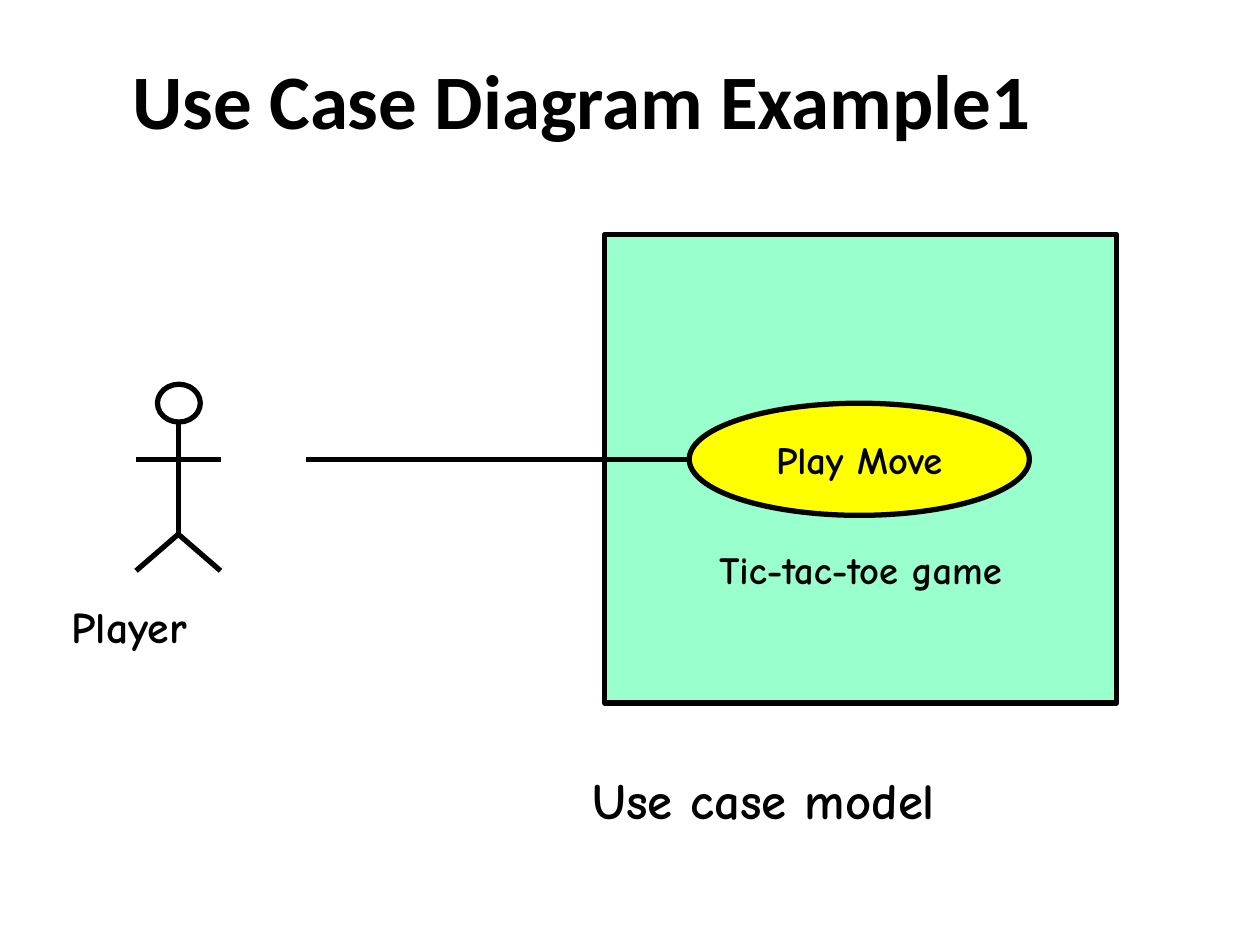
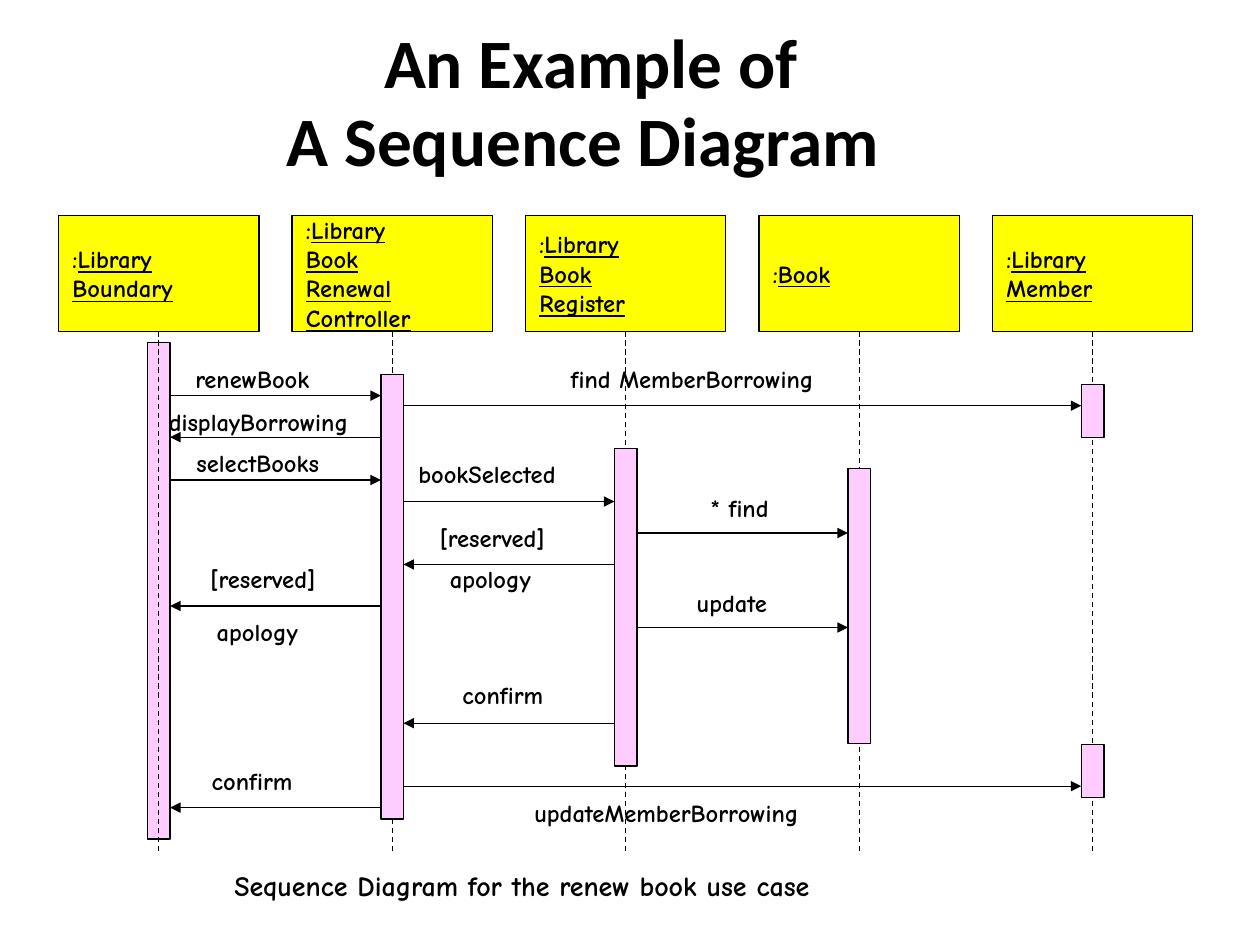
"""Build a use case diagram slide and a sequence diagram slide."""
from dataclasses import dataclass

from lxml import etree
from pptx import Presentation
from pptx import util as u
from pptx.dml import color
from pptx.enum import dml, shapes, text
from pptx.oxml import ns


@dataclass(frozen=True)
class Theme:
    ink: str = "000000"
    system: str = "99FFCC"
    highlight: str = "FFFF00"
    activation: str = "FFCCFF"
    title_font: str = "Calibri"
    body_font: str = "Comic Neue"
    title: float = 44
    long_title: float = 39.6
    model: float = 29
    actor: float = 25
    use_case: float = 22
    caption: float = 16
    label: float = 14
    thick: float = 3
    thin: float = 0.75


class Deck:
    def __init__(self, theme):
        self.theme = theme
        self.presentation = Presentation()
        self.presentation.slide_width = u.Inches(10)
        self.presentation.slide_height = u.Inches(7.5)
        self.slide = None

    def style_font(self, font, size, name=None):
        font.size = u.Pt(size)
        font.name = name or self.theme.body_font
        font.bold = True
        font.color.rgb = color.RGBColor.from_string(self.theme.ink)

    def style_line(self, line, width):
        line.color.rgb = color.RGBColor.from_string(self.theme.ink)
        line.width = u.Pt(width)

    def set_margins(self, frame, horizontal, vertical):
        frame.margin_left = frame.margin_right = u.Inches(horizontal)
        frame.margin_top = frame.margin_bottom = u.Inches(vertical)

    def add_slide(self, title, size):
        self.slide = self.presentation.slides.add_slide(self.presentation.slide_layouts[5])
        shape = self.slide.shapes.title
        shape.left, shape.top = u.Inches(0.44), u.Inches(0.15)
        shape.width, shape.height = u.Inches(8.5), u.Inches(1.35)
        frame = shape.text_frame
        frame.auto_size = text.MSO_AUTO_SIZE.NONE
        frame.vertical_anchor = text.MSO_ANCHOR.MIDDLE
        self.set_margins(frame, 0.02, 0.05)
        paragraph = frame.paragraphs[0]
        paragraph.text = title
        paragraph.alignment = text.PP_ALIGN.CENTER
        paragraph.line_spacing = 0.94
        paragraph.space_before = u.Pt(12.3)
        self.style_font(paragraph.font, size, self.theme.title_font)

    def add_label(self, words, left, top, width, height, size, margins=(0, 0)):
        shape = self.slide.shapes.add_textbox(*map(u.Inches, (left, top, width, height)))
        frame = shape.text_frame
        frame.word_wrap = False
        frame.auto_size = text.MSO_AUTO_SIZE.SHAPE_TO_FIT_TEXT
        self.set_margins(frame, *margins)
        frame.text = words
        self.style_font(frame.paragraphs[0].font, size)

    def add_shape(self, kind, left, top, width, height, fill, line_width):
        shape = self.slide.shapes.add_shape(kind, *map(u.Inches, (left, top, width, height)))
        shape.shadow.inherit = False
        if fill:
            shape.fill.solid()
            shape.fill.fore_color.rgb = color.RGBColor.from_string(fill)
        else:
            shape.fill.background()
        self.style_line(shape.line, line_width)
        frame = shape.text_frame
        frame.word_wrap = False
        frame.vertical_anchor = text.MSO_ANCHOR.MIDDLE
        self.set_margins(frame, 0.11, 0.06)
        return shape

    def add_centred_text(self, shape, words, size):
        paragraph = shape.text_frame.paragraphs[0]
        paragraph.text = words
        paragraph.alignment = text.PP_ALIGN.CENTER
        self.style_font(paragraph.font, size)

    def add_object(self, left, top, width, height, name):
        shape = self.add_shape(shapes.MSO_SHAPE.RECTANGLE, left, top, width, height,
                               self.theme.highlight, self.theme.thin)
        frame = shape.text_frame
        for index, word in enumerate(name.split()):
            paragraph = frame.add_paragraph() if index else frame.paragraphs[0]
            paragraph.alignment = text.PP_ALIGN.LEFT
            self.style_font(paragraph.font, self.theme.label)
            if not index:
                paragraph.add_run().text = ":"
            run = paragraph.add_run()
            run.text = word
            run.font.underline = True
        return shape

    def add_line(self, start_x, start_y, end_x, end_y, width, dashed=False, arrow=False):
        connector = self.slide.shapes.add_connector(
            shapes.MSO_CONNECTOR.STRAIGHT, *map(u.Inches, (start_x, start_y, end_x, end_y)))
        self.style_line(connector.line, width)
        if dashed:
            connector.line.dash_style = dml.MSO_LINE.DASH
        if arrow:
            tail = etree.SubElement(connector.line._get_or_add_ln(), ns.qn("a:tailEnd"))
            tail.set("type", "triangle")
        etree.SubElement(connector._element.spPr, ns.qn("a:effectLst"))
        return connector


def build_use_case(deck):
    """Draw the player, the system boundary and its one use case."""
    theme = deck.theme
    margins = (0.11, 0.06)
    deck.add_slide("Use Case Diagram Example1 ", theme.title)
    deck.add_label("Use case model", 4.59, 6.04, 3.27, 0.6, theme.model, margins)
    system = deck.add_shape(shapes.MSO_SHAPE.RECTANGLE, 4.8, 1.86, 4.06, 3.72,
                            theme.system, theme.thick)
    system.text_frame.margin_top = u.Inches(1.66)
    deck.add_centred_text(system, "Tic-tac-toe game", theme.use_case)
    use_case = deck.add_shape(shapes.MSO_SHAPE.OVAL, 5.47, 3.2, 2.7, 0.89,
                              theme.highlight, theme.thick)
    deck.add_centred_text(use_case, "Play Move", theme.use_case)

    body_x, neck_y, arm_y, hip_y, foot_y, reach = 1.415, 3.35, 3.645, 4.24, 4.53, 0.335
    deck.add_shape(shapes.MSO_SHAPE.OVAL, 1.25, 3.05, 0.34, 0.3, None, theme.thick)
    deck.add_line(body_x, neck_y, body_x, hip_y, theme.thick)
    deck.add_line(body_x - reach, arm_y, body_x + reach, arm_y, theme.thick)
    for side in (-reach, reach):
        deck.add_line(body_x, hip_y, body_x + side, foot_y, theme.thick)
    deck.add_line(2.43, arm_y, 5.47, arm_y, theme.thick)
    deck.add_label("Player", 0.46, 4.7, 1.26, 0.53, theme.actor, margins)


def build_sequence(deck):
    """Draw the objects, lifelines, activations and messages of a renewal."""
    theme = deck.theme
    deck.add_slide("An Example of\vA Sequence Diagram ", theme.long_title)
    names = ["Library Boundary", "Library Book Renewal Controller",
             "Library Book Register", "Book", "Library Member"]
    boundary, controller, register, book, member = range(len(names))
    centres = [1.26 + 1.853 * index for index in range(len(names))]
    head_top, head_width, head_height, lifeline_end = 1.71, 1.59, 0.92, 6.75
    bar_width = 0.18

    def add_activation(owner, top, height):
        deck.add_shape(shapes.MSO_SHAPE.RECTANGLE, centres[owner] - bar_width / 2, top,
                       bar_width, height, theme.activation, theme.thin)

    add_activation(boundary, 2.72, 3.94)
    for name, centre in zip(names, centres):
        head = deck.add_object(centre - head_width / 2, head_top, head_width, head_height, name)
        lifeline = deck.add_line(centre, head_top + head_height, centre, lifeline_end,
                                 theme.thin, dashed=True)
        lifeline.begin_connect(head, 2)

    activations = [(controller, 2.97, 3.53), (register, 3.56, 2.52), (book, 3.72, 2.18),
                   (member, 3.05, 0.42), (member, 5.91, 0.42)]
    for activation in activations:
        add_activation(*activation)

    messages = [
        (boundary, controller, 3.14), (controller, boundary, 3.47),
        (boundary, controller, 3.81), (controller, boundary, 4.81),
        (controller, boundary, 6.41), (controller, member, 3.22),
        (controller, register, 3.98), (register, book, 4.23),
        (register, controller, 4.48), (register, book, 4.98),
        (register, controller, 5.74), (controller, member, 6.24),
    ]
    for sender, receiver, y in messages:
        offset = bar_width / 2 if receiver > sender else -bar_width / 2
        deck.add_line(centres[sender] + offset, y, centres[receiver] - offset, y,
                      theme.thin, arrow=True)

    labels = [
        ("renewBook", 1.55, 2.89, 0.99), ("displayBorrowing", 1.34, 3.23, 1.56),
        ("selectBooks", 1.56, 3.56, 1.1), ("[reserved]", 1.67, 4.48, 0.98),
        ("apology", 1.72, 4.9, 0.69), ("confirm", 1.68, 6.08, 0.71),
        ("find MemberBorrowing", 4.53, 2.89, 2.13), ("bookSelected", 3.32, 3.64, 1.26),
        ("* find", 5.64, 3.91, 0.56), ("update", 5.53, 4.67, 0.64),
        ("[reserved]", 3.49, 4.15, 0.98), ("apology", 3.57, 4.48, 0.69),
        ("confirm", 3.67, 5.4, 0.71), ("updateMemberBorrowing", 4.24, 6.33, 2.31),
    ]
    for words, left, top, width in labels:
        deck.add_label(words, left, top, width, 0.23, theme.label)
    deck.add_label("Sequence Diagram for the renew book use case",
                   1.86, 6.89, 5.26, 0.27, theme.caption)


def main():
    deck = Deck(Theme())
    build_use_case(deck)
    build_sequence(deck)
    deck.presentation.save("out.pptx")


if __name__ == "__main__":
    main()
